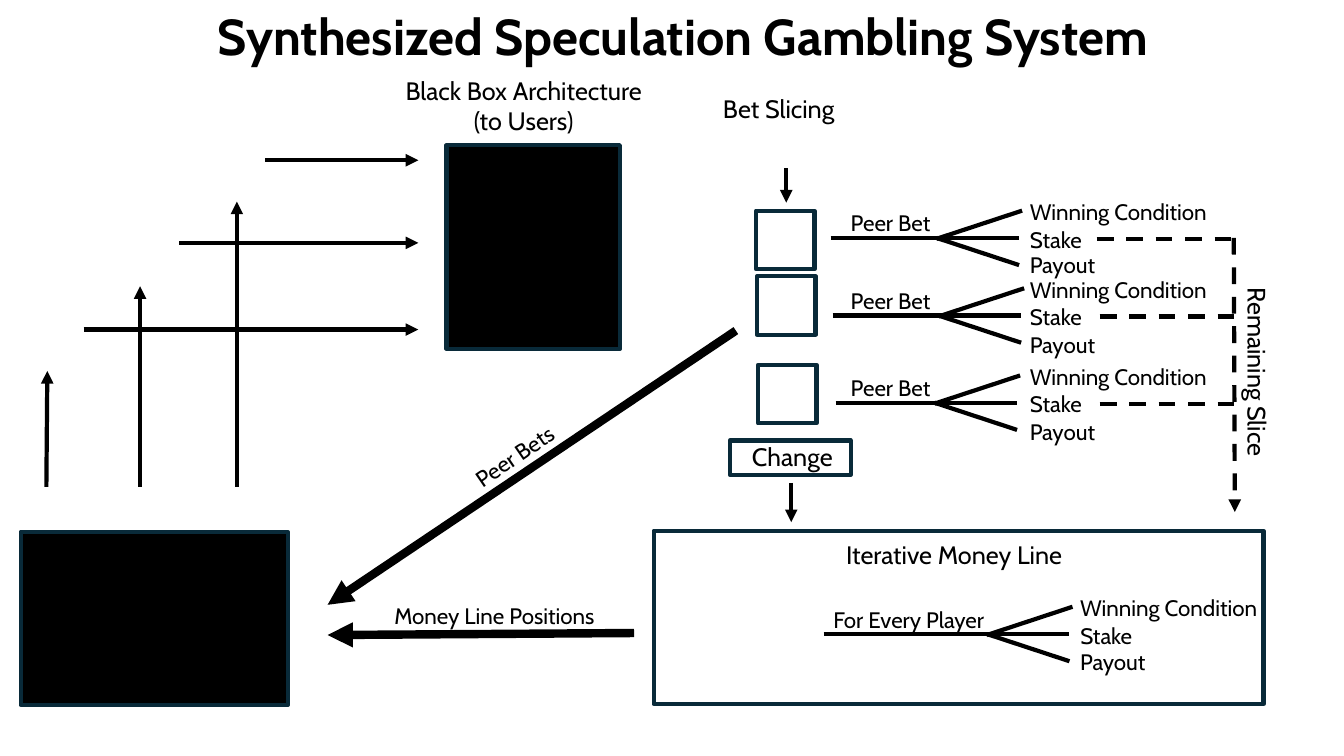
from pptx import Presentation
from pptx.dml.color import RGBColor
from pptx.enum.dml import MSO_LINE
from pptx.enum.shapes import MSO_CONNECTOR, MSO_SHAPE
from pptx.enum.text import MSO_AUTO_SIZE, PP_ALIGN
from pptx.oxml.ns import qn
from pptx.util import Inches, Pt
from lxml.etree import SubElement

COLORS = {"ink": "000000", "paper": "FFFFFF", "border": "092A39"}
CELL = 0.1
COLUMNS, ROWS = 133.33, 75


def color(name):
    """Turn a colour name into an RGB value."""
    return RGBColor.from_string(COLORS[name])


def grid(cells):
    """Turn a count of grid cells into a length."""
    return Inches(cells * CELL)


class Diagram:
    """Draw styled elements on one page, placed in grid columns and rows."""

    font = "Cabin"
    line_width = 3
    label_width = 28.3

    def __init__(self, page):
        """Remember the page to draw on."""
        self.page = page

    def box(self, column, row, width, height, fill="paper"):
        """Draw a bordered rectangle."""
        box = self.page.shapes.add_shape(
            MSO_SHAPE.RECTANGLE, grid(column), grid(row), grid(width), grid(height))
        box.shadow.inherit = False
        box.fill.solid()
        box.fill.fore_color.rgb = color(fill)
        box.line.color.rgb = color("border")
        box.line.width = Pt(self.line_width)

    def text(self, column, row, words, size=16, width=label_width, height=3.7,
             bold=False, rotation=0):
        """Write centred text, one paragraph per line of words."""
        box = self.page.shapes.add_textbox(
            grid(column), grid(row), grid(width), grid(height))
        box.rotation = rotation
        frame = box.text_frame
        frame.word_wrap = True
        frame.auto_size = MSO_AUTO_SIZE.SHAPE_TO_FIT_TEXT
        frame.text = words
        for para in frame.paragraphs:
            para.alignment = PP_ALIGN.CENTER
            for span in para.runs:
                span.font.name = self.font
                span.font.size = Pt(size)
                span.font.bold = bold
                span.font.color.rgb = color("ink")

    def line(self, start, end, arrow=False, dashed=False, width=line_width):
        """Draw a straight line, optionally dashed or with an arrowhead."""
        line = self.page.shapes.add_connector(
            MSO_CONNECTOR.STRAIGHT, *map(grid, (*start, *end)))
        line.line.color.rgb = color("ink")
        line.line.width = Pt(width)
        if dashed:
            line.line.dash_style = MSO_LINE.DASH
        if arrow:
            SubElement(line.line._get_or_add_ln(), qn("a:tailEnd"), type="triangle")
        SubElement(line._element.spPr, qn("a:effectLst"))

    def fork(self, stem, column, row, payout, title, title_column, shift=0):
        """Draw a stem that splits into the three parts of a bet."""
        self.line((stem, row), (column + 0.2, row))
        self.line((column + 0.3, row + 0.1), (column + 8.8, row - 2.7))
        self.line((column, row), (column + 8.5, row))
        self.line((column + 0.3, row), (column + 8.5, row + 2.7))
        self.text(title_column, row - 3.3, title)
        self.text(96.8 + shift, row - 4.4, "Winning Condition")
        self.text(90.6 + shift, row - 1.7, "Stake")
        self.text(98.4 + shift, row + payout, "Payout", width=14)


def main():
    """Build the betting system slide."""
    deck = Presentation()
    deck.slide_width, deck.slide_height = grid(COLUMNS), grid(ROWS)
    diagram = Diagram(deck.slides.add_slide(deck.slide_layouts[6]))

    diagram.text(15.3, 0, "Synthesized Speculation Gambling System",
                 size=36, width=104.9, height=7.1, bold=True)
    diagram.text(37.8, 7, "Black Box Architecture\n(to Users)", size=18, height=7.1)
    diagram.box(44.3, 14.4, 17.2, 20.2, fill="ink")
    diagram.box(2.05, 52.75, 26.5, 17.2, fill="ink")

    for column, row in ((26.3, 15.9), (17.8, 24.1), (8.3, 32.7)):
        diagram.line((column, row), (41.5, row), arrow=True)
    for column, tip_column, tip in ((4.6, 4.7, 36.8), (13.9, 13.9, 28.4), (23.5, 23.5, 20)):
        diagram.line((column, 48.3), (tip_column, tip), arrow=True)

    diagram.text(63.1, 8.8, "Bet Slicing", size=18, height=4)
    diagram.line((78, 16.7), (78, 20.1), arrow=True)
    for column, row in ((75, 20.9), (75.1, 27.4), (75.2, 36.2)):
        diagram.box(column, row, 5.8, 5.8)
    for stem, column, row, payout, dash in (
            (82.4, 92.6, 23.6, 0.8, 108.8),
            (82.6, 92.8, 31.3, 1.1, 109.1),
            (82.9, 92.4, 39.95, 1, 109.1)):
        diagram.fork(stem, column, row, payout, "Peer Bet", 74.2)
        diagram.line((dash, row + 0.1), (dash + 14.1, row + 0.1), dashed=True)
    diagram.line((122.4, 23.6), (122.5, 50.8), arrow=True, dashed=True)
    diagram.text(109.9, 34.9, "Remaining Slice", size=18, width=29.7, height=4,
                 rotation=90)

    diagram.box(72.4, 43.7, 12, 3.4)
    diagram.text(73.4, 43.3, "Change", size=18, width=10.4, height=4)
    diagram.line((78.5, 47.9), (78.5, 51.8), arrow=True)
    diagram.box(64.85, 52.65, 60.5, 17.2)
    diagram.text(80.5, 53, "Iterative Money Line", size=18, height=4)
    diagram.fork(81.7, 97.6, 62.9, 0.9, "For Every Player", 76, shift=5)

    diagram.line((73, 32.8), (32.5, 60), arrow=True, width=6)
    diagram.line((62.9, 62.8), (32.5, 63), arrow=True, width=6)
    diagram.text(36.9, 43.4, "Peer Bets", rotation=325.6)
    diagram.text(34.9, 59.2, "Money Line Positions")

    deck.save("out.pptx")


if __name__ == "__main__":
    main()
